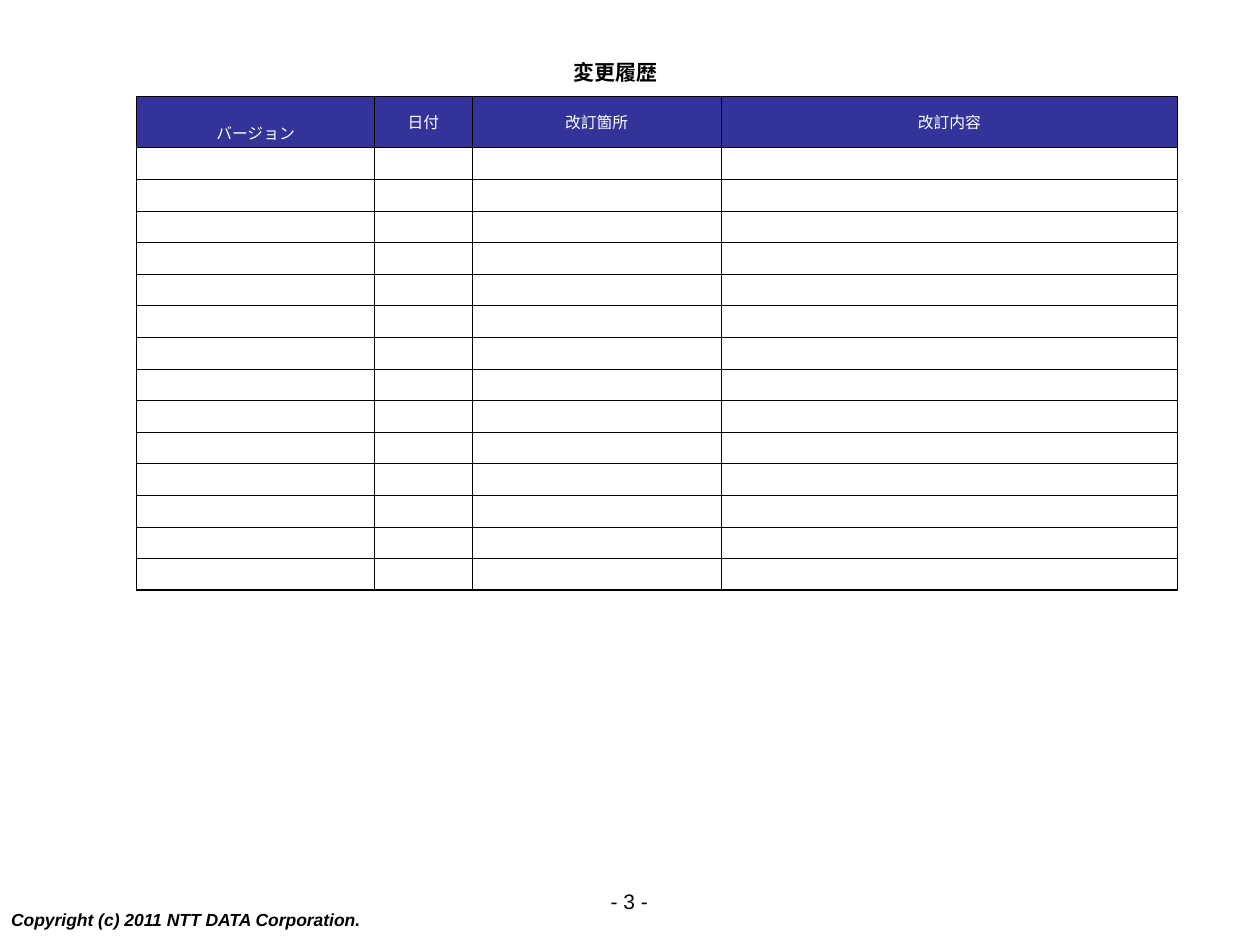
from lxml import etree
from pptx import Presentation
from pptx.dml.color import RGBColor
from pptx.enum.text import MSO_ANCHOR, MSO_AUTO_SIZE, PP_ALIGN
from pptx.oxml.ns import qn
from pptx.util import Pt

LEFT, CENTER, RIGHT = PP_ALIGN.LEFT, PP_ALIGN.CENTER, PP_ALIGN.RIGHT
MIDDLE = MSO_ANCHOR.MIDDLE
FIT_SHAPE = MSO_AUTO_SIZE.SHAPE_TO_FIT_TEXT

TITLE_ONLY = 5
LATIN_FONT, JAPANESE_FONT = "Arial", "Noto Sans CJK JP"
BLACK, WHITE, HEADER_BLUE = "000000", "FFFFFF", "333399"
THIN, OUTER = 0.06, 0.96
HEADINGS = ["バージョン", "日付", "改訂箇所", "改訂内容"]
COLUMN_WIDTHS = [136, 55.8, 142.4, 260.6]
HEADER_HEIGHT, ENTRY_HEIGHT, ENTRY_COUNT = 29.1, 18.05, 14


def color(hex_string):
    return RGBColor.from_string(hex_string)


def write_text(frame, text, size, font=LATIN_FONT, ink=BLACK, align=LEFT,
               bold=False, italic=False):
    paragraph = frame.paragraphs[0]
    paragraph.alignment = align
    run = paragraph.add_run()
    run.text = text
    run.font.name = font
    run.font.size = Pt(size)
    run.font.bold = bold
    run.font.italic = italic
    run.font.color.rgb = color(ink)
    east_asian = etree.SubElement(run.font._element, qn("a:ea"))
    east_asian.set("typeface", font)


def add_title(slide, text):
    title = slide.shapes.title
    title.left, title.top, title.width, title.height = (
        Pt(324.7), Pt(31), Pt(54), Pt(20.2))
    frame = title.text_frame
    frame.margin_left = frame.margin_right = Pt(2.9)
    frame.margin_top = frame.margin_bottom = Pt(2.9)
    frame.vertical_anchor = MIDDLE
    frame.word_wrap = False
    frame.auto_size = FIT_SHAPE
    write_text(frame, text, 12, font=JAPANESE_FONT, align=CENTER, bold=True)


def add_footer_text(slide, left, top, width, text, size, **text_format):
    box = slide.shapes.add_textbox(Pt(left), Pt(top), Pt(width), Pt(23.8))
    box.text_frame.word_wrap = True
    write_text(box.text_frame, text, size, **text_format)


def set_borders(cell, widths):
    """Draw the left, right, top and bottom borders, in that order."""
    properties = cell._tc.get_or_add_tcPr()
    for side, width in zip("LRTB", widths):
        line = etree.SubElement(properties, qn(f"a:ln{side}"), w=str(Pt(width)))
        fill = etree.SubElement(line, qn("a:solidFill"))
        etree.SubElement(fill, qn("a:srgbClr"), val=BLACK)


def set_empty_text_size(cell, size):
    """Keep the default text size from stretching an empty row."""
    paragraph = cell.text_frame.paragraphs[0]
    etree.SubElement(paragraph._p, qn("a:endParaRPr"), sz=str(size * 100))


def add_history_table(slide):
    row_heights = [HEADER_HEIGHT] + [ENTRY_HEIGHT] * ENTRY_COUNT
    last_row, last_column = ENTRY_COUNT, len(HEADINGS) - 1
    history = slide.shapes.add_table(
        len(row_heights), len(HEADINGS), Pt(78), Pt(55.2),
        Pt(sum(COLUMN_WIDTHS)), Pt(sum(row_heights))).table
    history.first_row = history.horz_banding = False
    for column, width in zip(history.columns, COLUMN_WIDTHS):
        column.width = Pt(width)

    for r, height in enumerate(row_heights):
        history.rows[r].height = Pt(height)
        for c, heading in enumerate(HEADINGS):
            cell = history.cell(r, c)
            set_borders(cell, [
                OUTER if c == 0 else THIN,
                OUTER if c == last_column else THIN,
                OUTER if r <= 1 else THIN,
                OUTER if r in (0, last_row) else THIN])
            if r > 0:
                cell.fill.background()
                set_empty_text_size(cell, 9)
                continue
            cell.fill.solid()
            cell.fill.fore_color.rgb = color(HEADER_BLUE)
            cell.vertical_anchor = MIDDLE
            cell.margin_left = cell.margin_right = Pt(2.9)
            write_text(cell.text_frame, heading, 9, font=JAPANESE_FONT,
                       ink=WHITE, align=CENTER)

    # The version heading sits lower than the other headings.
    version = history.cell(0, 0)
    version.margin_top, version.margin_bottom = Pt(14), Pt(1.9)


def main():
    deck = Presentation()
    deck.slide_width, deck.slide_height = Pt(720), Pt(540)
    slide = deck.slides.add_slide(deck.slide_layouts[TITLE_ONLY])
    add_footer_text(slide, -0.7, 516.2, 319.7,
                    "Copyright (c) 2011 NTT DATA Corporation.", 10,
                    bold=True, italic=True)
    add_footer_text(slide, 319, 504, 58.3, "- 3 -", 12, align=RIGHT)
    add_title(slide, "変更履歴")
    add_history_table(slide)
    deck.save("out.pptx")


if __name__ == "__main__":
    main()
